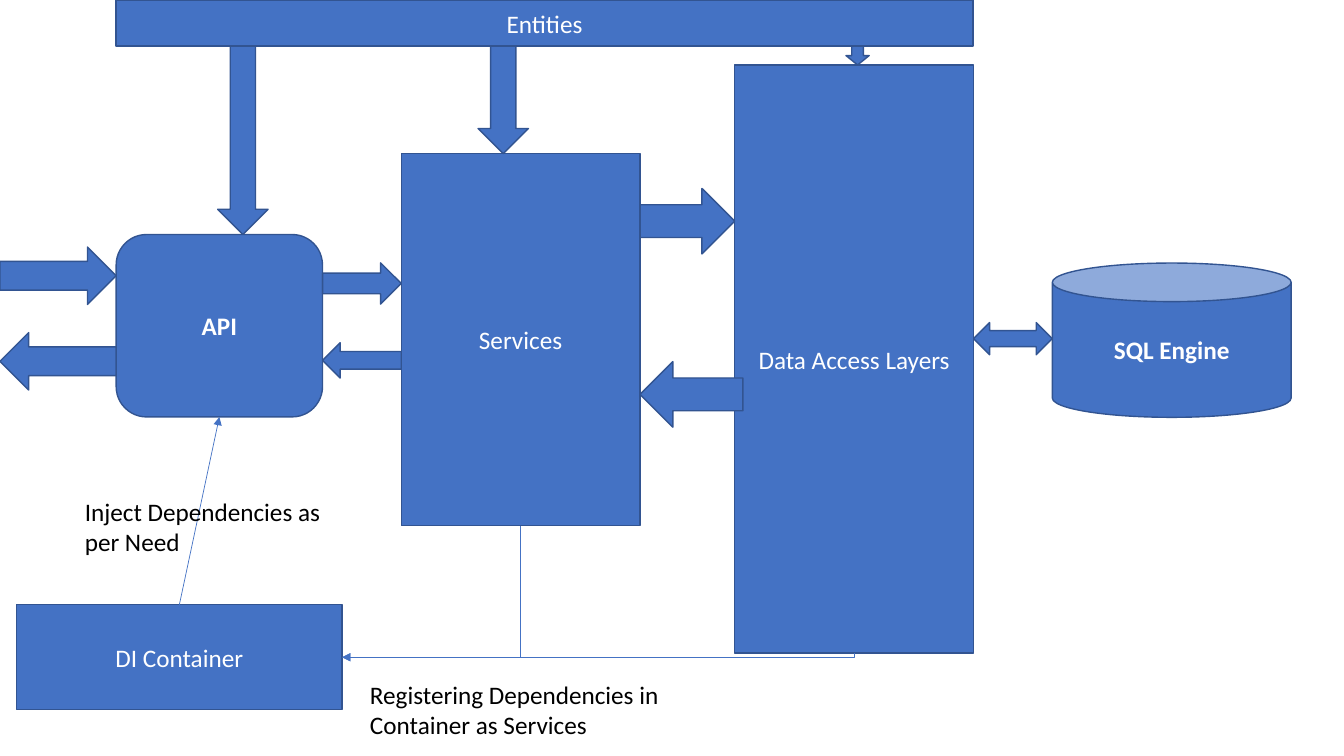
from pptx import Presentation
from pptx.dml.color import RGBColor
from pptx.enum.shapes import MSO_CONNECTOR, MSO_SHAPE
from pptx.enum.text import MSO_ANCHOR, PP_ALIGN
from pptx.oxml.ns import qn
from pptx.util import Pt
from lxml.etree import SubElement

BLUE = RGBColor(0x44, 0x72, 0xC4)
OUTLINE = RGBColor(0x32, 0x54, 0x91)
WHITE = RGBColor(0xFF, 0xFF, 0xFF)
BLACK = RGBColor(0, 0, 0)
TOP, BOTTOM, RIGHT = 0, 2, 3  # connection sites of a rectangle


def write(frame, text, color=BLACK, bold=False, align=PP_ALIGN.LEFT,
          anchor=MSO_ANCHOR.TOP, font="Calibri", size=18):
    frame.word_wrap = True
    frame.vertical_anchor = anchor
    paragraph = frame.paragraphs[0]
    paragraph.alignment = align
    run = paragraph.add_run()
    run.text = text
    run.font.name, run.font.size, run.font.bold = font, Pt(size), bold
    run.font.color.rgb = color


class Diagram:
    def __init__(self, slide, fill=BLUE, outline=OUTLINE):
        self.slide, self.fill, self.outline = slide, fill, outline

    def shape(self, kind, left, top, width, height):
        shape = self.slide.shapes.add_shape(kind, left, top, width, height)
        shape.shadow.inherit = False
        shape.fill.solid()
        shape.fill.fore_color.rgb = self.fill
        shape.line.color.rgb = self.outline
        shape.line.width = Pt(1)
        return shape

    def block(self, text, left, top, width, height,
              kind=MSO_SHAPE.RECTANGLE, bold=False):
        block = self.shape(kind, Pt(left), Pt(top), Pt(width), Pt(height))
        write(block.text_frame, text, color=WHITE, bold=bold,
              align=PP_ALIGN.CENTER, anchor=MSO_ANCHOR.MIDDLE)
        return block

    def arrow_down(self, source, target, center, width):
        top = source.top + source.height
        self.shape(MSO_SHAPE.DOWN_ARROW, Pt(center - width / 2), top,
                   Pt(width), target.top - top)

    def arrow_across(self, kind, start, end, center, height):
        self.shape(kind, start, Pt(center - height / 2), end - start, Pt(height))

    def note(self, text, left, top, width, height):
        note = self.slide.shapes.add_textbox(Pt(left), Pt(top), Pt(width), Pt(height))
        write(note.text_frame, text)

    def link(self, source, source_site, target, target_site, bent=False):
        kind = MSO_CONNECTOR.ELBOW if bent else MSO_CONNECTOR.STRAIGHT
        link = self.slide.shapes.add_connector(kind, 0, 0, 0, 0)
        link.begin_connect(source, source_site)
        link.end_connect(target, target_site)
        link.line.color.rgb = self.fill
        link.line.width = Pt(0.5)
        properties = link._element.spPr
        SubElement(properties.find(qn("a:ln")), qn("a:tailEnd"), type="triangle")
        SubElement(properties, qn("a:effectLst"))
        if bent:
            self.turn_down_then_left(link)

    def turn_down_then_left(self, link):
        # A single-corner elbow, turned a quarter about its centre
        across, down = link.width, link.height
        middle_x, middle_y = link.left + across // 2, link.top + down // 2
        link.left, link.top = middle_x - down // 2, middle_y - across // 2
        link.width, link.height = down, across
        properties = link._element.spPr
        properties.find(qn("a:prstGeom")).set("prst", "bentConnector2")
        frame = properties.find(qn("a:xfrm"))
        frame.attrib.pop("flipH", None)
        frame.set("rot", str(90 * 60000))


presentation = Presentation()
presentation.slide_width, presentation.slide_height = Pt(960), Pt(540)
diagram = Diagram(presentation.slides.add_slide(presentation.slide_layouts[6]))

# Application layers
database = diagram.block("SQL Engine", 751.7, 187.9, 170.6, 110.2,
                         kind=MSO_SHAPE.CAN, bold=True)
data_access = diagram.block("Data Access Layers", 524.8, 46.4, 170.6, 420.2)
services = diagram.block("Services", 286.6, 109.8, 170.6, 265.6)
entities = diagram.block("Entities", 83, 0, 612, 33)
api = diagram.block("API", 83, 167.5, 147.4, 130.3,
                    kind=MSO_SHAPE.ROUNDED_RECTANGLE, bold=True)
container = diagram.block("DI Container", 11.8, 432, 232.6, 75)

# Entities feed every layer
for layer, center, width in ((api, 173.5, 36), (services, 359.5, 36),
                             (data_access, 612.6, 16.6)):
    diagram.arrow_down(entities, layer, center, width)

# Requests run right, responses run left
api_end = api.left + api.width
services_end = services.left + services.width
data_access_end = data_access.left + data_access.width
for kind, start, end, center, height in (
    (MSO_SHAPE.RIGHT_ARROW, 0, api.left, 197, 41),
    (MSO_SHAPE.RIGHT_ARROW, api_end, services.left, 202.5, 29.5),
    (MSO_SHAPE.RIGHT_ARROW, services_end, data_access.left, 158, 46.8),
    (MSO_SHAPE.LEFT_ARROW, services_end, data_access.left + Pt(5.8), 281.7, 46.8),
    (MSO_SHAPE.LEFT_ARROW, api_end, services.left, 257.4, 25.2),
    (MSO_SHAPE.LEFT_ARROW, 0, api.left, 258.1, 41),
    (MSO_SHAPE.LEFT_RIGHT_ARROW, data_access_end, database.left, 241.9, 23),
):
    diagram.arrow_across(kind, start, end, center, height)

# Dependency injection
for layer in (services, data_access):
    diagram.link(layer, BOTTOM, container, RIGHT, bent=True)
diagram.note("Registering Dependencies in Container as Services", 257.2, 481.7, 238.3, 51)
diagram.link(container, TOP, api, BOTTOM)
diagram.note("Inject Dependencies as per Need", 53.5, 351, 190.8, 51)

presentation.save("out.pptx")
